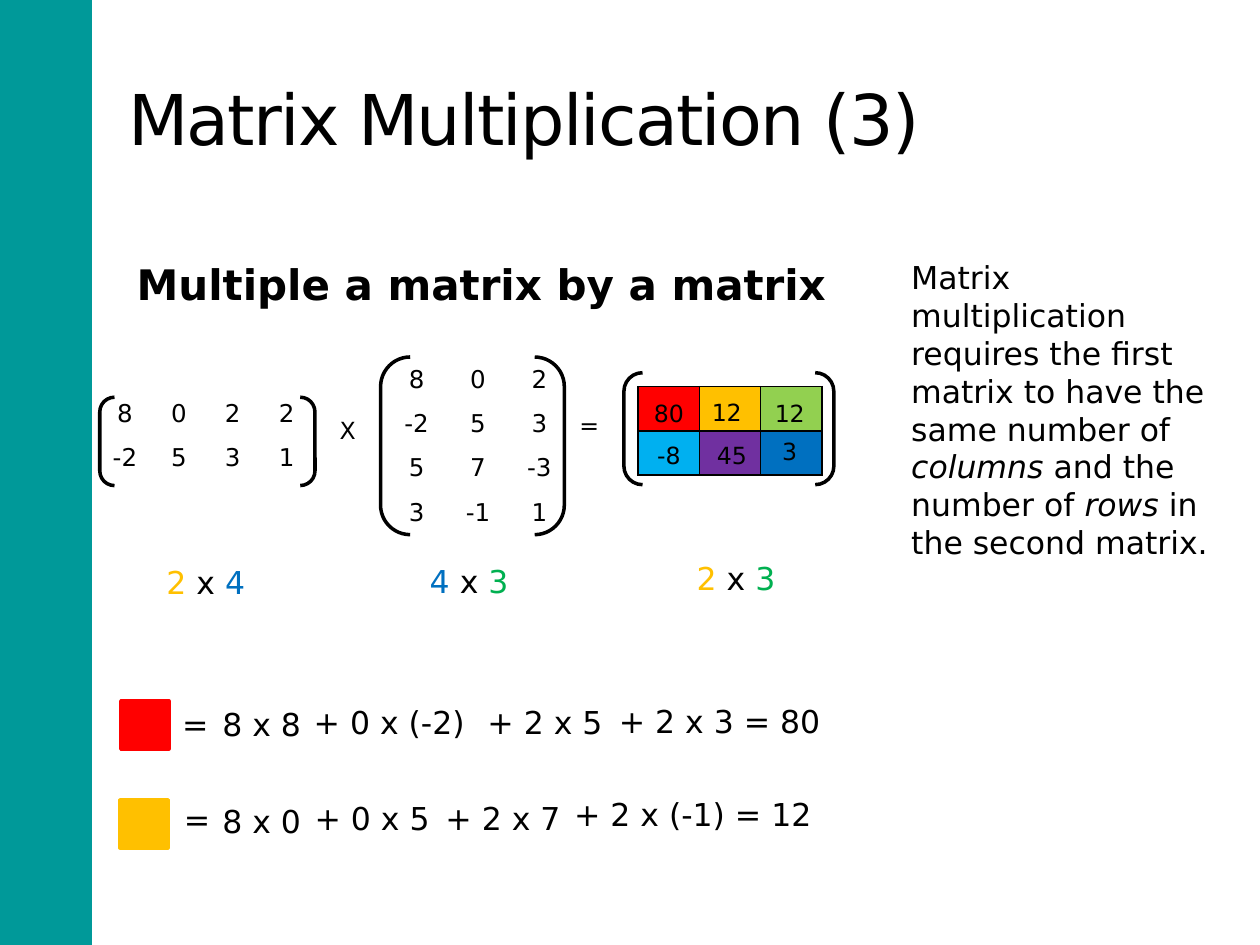
from dataclasses import dataclass

from lxml import etree
from pptx import Presentation
from pptx.dml.color import RGBColor
from pptx.enum.shapes import MSO_SHAPE
from pptx.enum.text import MSO_ANCHOR, MSO_AUTO_SIZE, PP_ALIGN
from pptx.oxml.ns import qn
from pptx.util import Pt

RECTANGLE, BRACKETS = MSO_SHAPE.RECTANGLE, MSO_SHAPE.DOUBLE_BRACKET
LEFT, CENTER = PP_ALIGN.LEFT, PP_ALIGN.CENTER
MIDDLE, TOP = MSO_ANCHOR.MIDDLE, MSO_ANCHOR.TOP
NO_AUTOFIT = MSO_AUTO_SIZE.NONE

FONT = "DejaVu Sans"
BLACK = RGBColor(0x00, 0x00, 0x00)
WHITE = RGBColor(0xFF, 0xFF, 0xFF)
TEAL = RGBColor(0x00, 0x99, 0x99)
RED = RGBColor(0xFF, 0x00, 0x00)
AMBER = RGBColor(0xFF, 0xC0, 0x00)
LIME = RGBColor(0x92, 0xD0, 0x50)
SKY = RGBColor(0x00, 0xB0, 0xF0)
PURPLE = RGBColor(0x70, 0x30, 0xA0)
BLUE = RGBColor(0x00, 0x70, 0xC0)
GREEN = RGBColor(0x00, 0xB0, 0x50)

ROW_HEIGHT = 25.3
SMALL, NORMAL = 13.5, 18


@dataclass
class Box:
    left: float
    top: float
    width: float
    height: float

    def lengths(self) -> list:
        return [Pt(v) for v in (self.left, self.top, self.width, self.height)]


@dataclass
class Matrix:
    left: float
    top: float
    column_width: float
    brackets: Box
    values: list
    fills: list | None = None


@dataclass
class Term:
    text: str
    left: float
    top: float
    width: float


@dataclass
class Calculation:
    color: RGBColor
    square: Box
    terms: list


def style_run(run, size, color=BLACK, bold=False, italic=False) -> None:
    font = run.font
    font.name, font.size, font.bold, font.italic = FONT, Pt(size), bold, italic
    font.color.rgb = color


def add_runs(paragraph, parts, size) -> None:
    for text, color, italic in parts:
        run = paragraph.add_run()
        run.text = text
        style_run(run, size, color, italic=italic)


def add_label(slide, box, parts, size=NORMAL, align=LEFT, bold=False) -> None:
    frame = slide.shapes.add_textbox(*box.lengths()).text_frame
    frame.word_wrap = False
    paragraph = frame.paragraphs[0]
    paragraph.alignment = align
    add_runs(paragraph, [(text, color, False) for text, color in parts], size)
    for run in paragraph.runs:
        run.font.bold = bold


def add_block(slide, kind, box, fill=None, line=None) -> None:
    block = slide.shapes.add_shape(kind, *box.lengths())
    block.shadow.inherit = False
    if fill is None:
        block.fill.background()
    else:
        block.fill.solid()
        block.fill.fore_color.rgb = fill
    if line is None:
        block.line.fill.background()
    else:
        block.line.color.rgb = line
        block.line.width = Pt(2)


def add_cell_borders(cell) -> None:
    properties = cell._tc.get_or_add_tcPr()
    for side in ("a:lnL", "a:lnR", "a:lnT", "a:lnB"):
        border = etree.SubElement(properties, qn(side), w=str(int(Pt(1))))
        fill = etree.SubElement(border, qn("a:solidFill"))
        etree.SubElement(fill, qn("a:srgbClr"), val=str(BLACK))


def add_matrix(slide, matrix: Matrix) -> None:
    rows, columns = len(matrix.values), len(matrix.values[0])
    area = Box(matrix.left, matrix.top, columns * matrix.column_width, rows * ROW_HEIGHT)
    table = slide.shapes.add_table(rows, columns, *area.lengths()).table
    table.first_row = table.horz_banding = False
    for r, row in enumerate(matrix.values):
        for c, value in enumerate(row):
            cell = table.cell(r, c)
            cell.margin_left = cell.margin_right = Pt(5)
            cell.margin_top = cell.margin_bottom = Pt(1)
            cell.vertical_anchor = MIDDLE
            if matrix.fills:
                add_cell_borders(cell)
            cell.fill.solid()
            cell.fill.fore_color.rgb = matrix.fills[r][c] if matrix.fills else WHITE
            if value:
                cell.text_frame.text = value
                paragraph = cell.text_frame.paragraphs[0]
                paragraph.alignment = CENTER
                style_run(paragraph.runs[0], 14)
    add_block(slide, BRACKETS, matrix.brackets, line=BLACK)


def place(placeholder, box, anchor) -> None:
    placeholder.left, placeholder.top, placeholder.width, placeholder.height = box.lengths()
    frame = placeholder.text_frame
    frame.auto_size, frame.vertical_anchor, frame.word_wrap = NO_AUTOFIT, anchor, True
    frame.paragraphs[0].alignment = LEFT


FIRST = Matrix(56, 224, 30.8, Box(57, 227, 123, 50.5),
               [["8", "0", "2", "2"], ["-2", "5", "3", "1"]])
SECOND = Matrix(220.5, 204.5, 35.1, Box(217.5, 204, 105, 101.5),
                [["8", "0", "2"], ["-2", "5", "3"], ["5", "7", "-3"], ["3", "-1", "1"]])
PRODUCT = Matrix(364.5, 221, 35.1, Box(356.5, 213, 120, 64), [[""] * 3] * 2,
                 [[RED, AMBER, LIME], [SKY, PURPLE, BLUE]])

PRODUCT_VALUES = [Term("80", 365, 224.5, 34.5), Term("12", 398, 224, 34.5),
                  Term("12", 434, 224.5, 34.5), Term("-8", 365, 248.5, 34.5),
                  Term("45", 401, 248.5, 34.5), Term("3", 434, 246, 34.5)]
OPERATORS = [Term("X", 187, 234, 24), Term("=", 324, 231, 26)]

# Each size: left, top, then rows and columns with their colours
SIZES = [(88, 318, ("2", AMBER), ("4", BLUE)),
         (238.5, 317.5, ("4", BLUE), ("3", GREEN)),
         (391, 316, ("2", AMBER), ("3", GREEN))]

CALCULATIONS = [
    Calculation(RED, Box(69, 400.5, 27.5, 27.5), [
        Term("=", 97, 399.5, 29.5), Term("8 x 8", 120, 399.5, 61),
        Term(" + 0 x (-2)", 166.5, 398, 114), Term("+ 2 x 5", 271.5, 398, 83),
        Term("+ 2 x 3 = 80", 346.5, 397.5, 134)]),
    Calculation(AMBER, Box(68.5, 457, 27.5, 27.5), [
        Term("=", 98, 453.5, 29.5), Term("8 x 0", 120, 454.5, 61),
        Term(" + 0 x 5", 167, 453, 89), Term("+ 2 x 7", 247.5, 453, 83),
        Term("+ 2 x (-1) = 12", 321, 450.5, 158)]),
]


def main() -> None:
    deck = Presentation()
    deck.slide_width, deck.slide_height = Pt(720), Pt(540)
    slide = deck.slides.add_slide(deck.slide_layouts[1])

    # Side band, title and explanation
    add_block(slide, RECTANGLE, Box(-1.5, 0, 54, 540), fill=TEAL)
    title, explanation = slide.placeholders
    title.text_frame.text = "Matrix Multiplication (3)"
    place(title, Box(66, 22, 600, 90), MIDDLE)
    title_run = title.text_frame.paragraphs[0].runs[0]
    style_run(title_run, 40)
    title_run._r.get_or_add_rPr().set("spc", "-100")

    place(explanation, Box(513.5, 144, 190, 297), TOP)
    paragraph = explanation.text_frame.paragraphs[0]
    add_runs(paragraph, [
        ("Matrix multiplication requires the first matrix to have the same number of ",
         BLACK, False),
        ("columns ", BLACK, True), ("and the number of ", BLACK, False),
        ("rows ", BLACK, True), ("in the second matrix.", BLACK, False)], NORMAL)
    bullet = paragraph._p.get_or_add_pPr()
    bullet.set("marL", "0")
    bullet.set("indent", "0")
    etree.SubElement(bullet, qn("a:buNone"))

    # Matrix equation
    add_label(slide, Box(71, 144, 409, 36), [("Multiple a matrix by a matrix", BLACK)],
              24, bold=True)
    for matrix in (FIRST, SECOND, PRODUCT):
        add_matrix(slide, matrix)
    for terms, align in ((OPERATORS, LEFT), (PRODUCT_VALUES, CENTER)):
        for term in terms:
            add_label(slide, Box(term.left, term.top, term.width, 24),
                      [(term.text, BLACK)], SMALL, align)
    for left, top, rows, columns in SIZES:
        add_label(slide, Box(left, top, 61, 29), [rows, (" x ", BLACK), columns])

    # Worked calculations
    for calculation in CALCULATIONS:
        add_block(slide, RECTANGLE, calculation.square, calculation.color, calculation.color)
        for term in calculation.terms:
            add_label(slide, Box(term.left, term.top, term.width, 29), [(term.text, BLACK)])

    deck.save("out.pptx")


if __name__ == "__main__":
    main()
